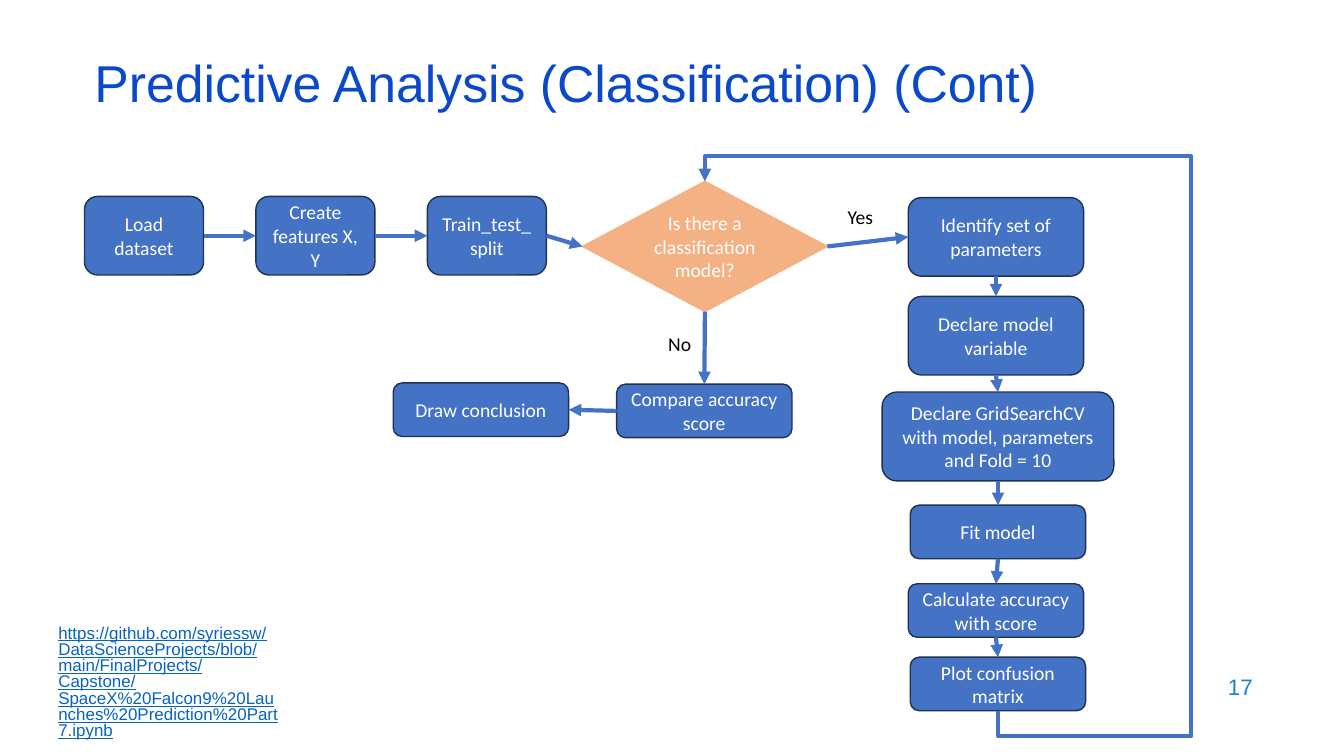
import itertools

import lxml.etree as etree
import pptx
import pptx.dml.color
import pptx.enum.shapes
import pptx.enum.text
import pptx.oxml.ns
import pptx.util

Cm, Pt = pptx.util.Cm, pptx.util.Pt
Kind = pptx.enum.shapes.MSO_SHAPE
Link = pptx.enum.shapes.MSO_CONNECTOR
Align = pptx.enum.text.PP_ALIGN
Anchor = pptx.enum.text.MSO_ANCHOR
Fit = pptx.enum.text.MSO_AUTO_SIZE
qn = pptx.oxml.ns.qn

COLORS = {
    "blue": "4472C4", "edge": "1E3256", "peach": "F4B183", "white": "FFFFFF",
    "black": "000000", "title": "0B49CB", "page": "1C7DDB", "link": "0563C1",
}
TOP, LEFT, BOTTOM, RIGHT = range(4)  # connection sites of a shape


def tint(name):
    return pptx.dml.color.RGBColor.from_string(COLORS[name])


class Chart:
    """Draws the parts of a flow chart on one slide; lengths are in cm."""

    def __init__(self, slide):
        self.shapes = slide.shapes

    def letter(self, frame, text, size, font, color, align, space=None, under=None):
        """Puts one styled run into a text frame."""
        frame.word_wrap = True
        para = frame.paragraphs[0]
        para.alignment = align
        para.line_spacing = space
        run = para.add_run()
        run.text = text
        run.font.size, run.font.name = Pt(size), font
        run.font.underline = under
        run.font.color.rgb = tint(color)

    def text(self, area, text, size, color, font="Arial", align=Align.LEFT,
             anchor=Anchor.MIDDLE, fit=Fit.NONE, **style):
        frame = self.shapes.add_textbox(*map(Cm, area)).text_frame
        self.letter(frame, text, size, font, color, align, **style)
        frame.auto_size = fit
        frame.vertical_anchor = anchor

    def label(self, left, top, text):
        self.text((left, top, 1.8, 0.86), text, 14, "black", "Calibri",
                  anchor=Anchor.TOP, fit=Fit.SHAPE_TO_FIT_TEXT)

    def box(self, area, text, kind=Kind.ROUNDED_RECTANGLE, fill="blue", edge="edge"):
        shape = self.shapes.add_shape(kind, *map(Cm, area))
        shape.shadow.inherit = False
        shape.fill.solid()
        shape.fill.fore_color.rgb = tint(fill)
        shape.line.color.rgb = tint(edge)
        shape.line.width = Pt(1)
        shape.text_frame.vertical_anchor = Anchor.MIDDLE
        self.letter(shape.text_frame, text, 14, "Calibri", "white", Align.CENTER)
        return shape

    def arrow(self, start, out, end, into, kind=Link.STRAIGHT):
        """Joins a site of one shape to a site of another."""
        line = self.shapes.add_connector(kind, 0, 0, 0, 0)
        line.begin_connect(start, out)
        line.end_connect(end, into)
        line.line.color.rgb = tint("blue")
        line.line.width = Pt(3)
        props = line._element.spPr
        etree.SubElement(props.find(qn("a:ln")), qn("a:tailEnd"), type="triangle")
        etree.SubElement(props, qn("a:effectLst"))
        return line

    def loop(self, start, end, bends):
        """Leads from below the start, around the right side, to the top of the end."""
        line = self.arrow(start, BOTTOM, end, TOP, Link.ELBOW)
        wide, high = line.width, line.height
        line.left += (wide - high) // 2
        line.top += (high - wide) // 2
        line.width, line.height = high, wide
        props = line._element.spPr
        frame = props.find(qn("a:xfrm"))
        frame.set("rot", "5400000")
        frame.set("flipH", "1")
        frame.set("flipV", "0")
        geom = props.find(qn("a:prstGeom"))
        geom.set("prst", "bentConnector5")
        guides = geom.find(qn("a:avLst"))
        for num, bend in enumerate(bends, 1):
            etree.SubElement(guides, qn("a:gd"), name=f"adj{num}", fmla=f"val {bend}")


def main():
    deck = pptx.Presentation()
    deck.slide_width, deck.slide_height = Cm(33.87), Cm(19.05)
    chart = Chart(deck.slides.add_slide(deck.slide_layouts[6]))

    chart.text((24.2, 16.74, 7.62, 1.12), "17", 16, "page", align=Align.RIGHT)
    chart.text((2.13, 1.5, 29.2, 1.52), "Predictive Analysis (Classification) (Cont)",
               37, "title", space=0.7)

    steps = ["Load dataset", "Create features X, Y", "Train_test_split"]
    row = [chart.box((2.13 + 4.32 * num, 4.95, 3, 1.98), step)
           for num, step in enumerate(steps)]
    choice = chart.box((14.68, 4.57, 6.17, 3.28), "Is there a classification model?",
                       Kind.DIAMOND, "peach", "peach")
    column = [chart.box(area, step) for area, step in [
        ((22.89, 4.98, 4.42, 1.98), "Identify set of parameters"),
        ((22.89, 7.47, 4.42, 1.98), "Declare model variable"),
        ((22.23, 9.88, 5.84, 2.24),
         "Declare GridSearchCV with model, parameters and Fold = 10"),
        ((22.94, 12.73, 4.42, 1.35), "Fit model"),
        ((22.89, 14.71, 4.42, 1.35), "Calculate accuracy with score"),
        ((22.94, 16.56, 4.42, 1.35), "Plot confusion matrix"),
    ]]
    score = chart.box((15.54, 9.68, 4.42, 1.35), "Compare accuracy score")
    result = chart.box((9.91, 9.65, 4.42, 1.35), "Draw conclusion")

    for start, end in itertools.pairwise([*row, choice, column[0]]):
        chart.arrow(start, RIGHT, end, LEFT)
    for start, end in [*itertools.pairwise(column), (choice, score)]:
        chart.arrow(start, BOTTOM, end, TOP)
    chart.arrow(score, LEFT, result, RIGHT)
    chart.loop(column[-1], choice, (-4800, -66000, 104800))

    chart.label(21.11, 5.05, "Yes")
    chart.label(16.59, 8.23, "No")
    chart.text((1.22, 15.65, 6.15, 2.74),
               "https://github.com/syriessw/DataScienceProjects/blob/main/FinalProjects/"
               "Capstone/SpaceX%20Falcon9%20Launches%20Prediction%20Part7.ipynb",
               12.1, "link", anchor=Anchor.TOP, space=0.8, under=True)
    deck.save("out.pptx")


if __name__ == "__main__":
    main()
